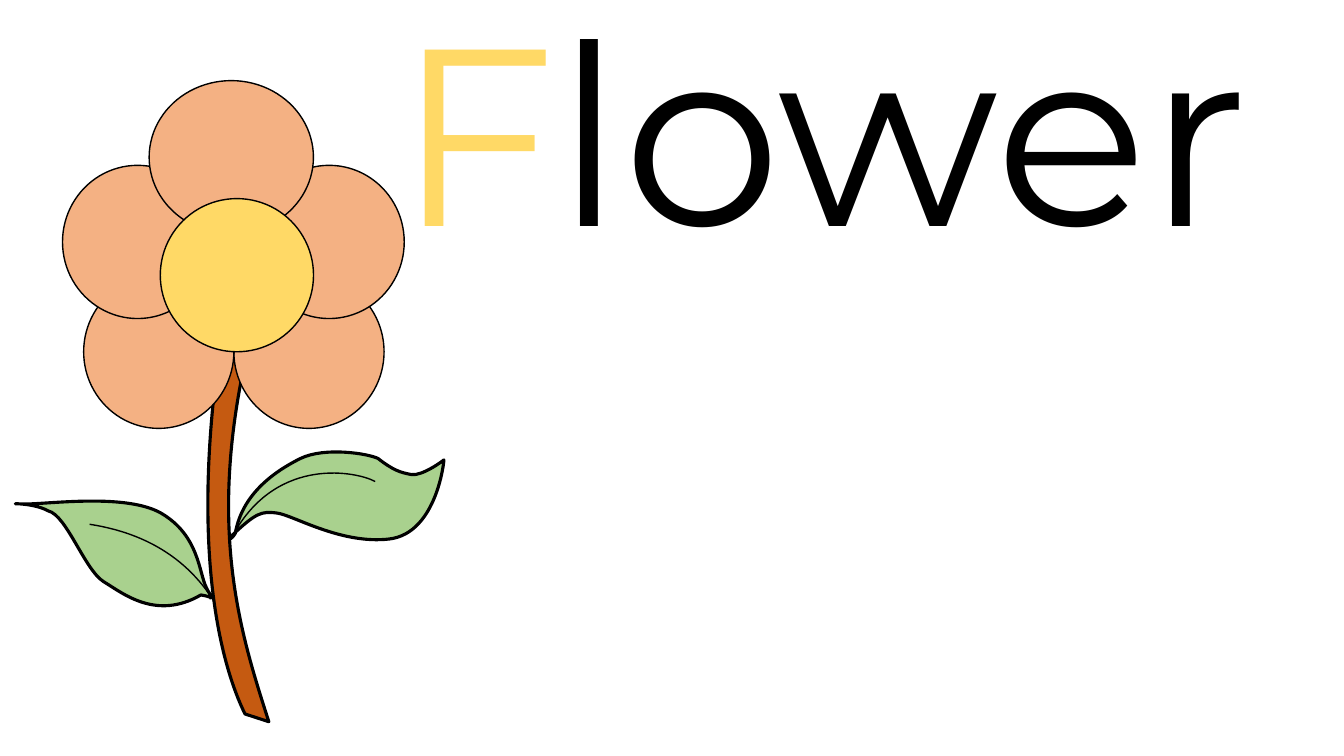
import math

import lxml.etree
import pptx
import pptx.dml.color
import pptx.enum.shapes
import pptx.enum.text
import pptx.oxml.ns
import pptx.util

Pt = pptx.util.Pt
RGBColor = pptx.dml.color.RGBColor
qn = pptx.oxml.ns.qn

BLACK = RGBColor(0x00, 0x00, 0x00)
YELLOW = RGBColor(0xFF, 0xD9, 0x66)
PEACH = RGBColor(0xF4, 0xB1, 0x83)
GREEN = RGBColor(0xA9, 0xD1, 0x8E)
BROWN = RGBColor(0xC5, 0x5A, 0x11)

THIN, THICK = 1, 2.25
PETAL_SIZE = (107.28, 109.44)
PETAL_CORNERS = [(167.04, 196.56), (59.76, 196.56), (44.64, 118.08), (181.44, 118.08)]

# Outlines: a start point, then segments of one point (line) or three (cubic curve).
LEFT_LEAF = [
    (15, 360),
    [(29, 361), (88.5, 351.5), (115, 366.5)],
    [(142.5, 382.5), (142, 409.5), (147.5, 420)],
    [(152.5, 430), (151, 422.5), (150, 425.5)],
    [(148.5, 428.5), (155.5, 427), (143.5, 425)],
    [(111.5, 443.5), (88, 424), (74, 415.5)],
    [(60.5, 407), (47.5, 368), (34.5, 365)],
    [(23, 358.5), (2, 360), (15, 360)],
]
RIGHT_LEAF = [
    (317, 328.5),
    [(317.5, 327), (312.5, 381), (278, 385)],
    [(243.5, 389), (209.5, 368), (198, 366.5)],
    [(186.5, 365), (183, 366), (164, 384)],
    [(162.5, 381.5), (162.5, 389.5), (168, 381)],
    [(173, 352), (197.5, 336), (214.5, 327.5)],
    [(232, 319), (263, 324), (270, 327.5)],
    [(281, 336), (286, 337.5), (294, 339)],
    [(301.5, 340), (316, 329.5), (317, 328.5)],
]
RIGHT_VEIN = [(168, 379.5), [(199.5, 325.5), (255.5, 337), (268, 344)]]
LEFT_VEIN = [(64, 374.5), [(89.5, 378.5), (130.5, 390), (155.5, 434)]]
STEM = [
    (160.5, 226),
    [(183, 225.5)],
    [(144.5, 368), (170.5, 448.5), (192, 515.5)],
    [(175, 510)],
    [(159, 477.5), (133, 392), (160.5, 226)],
]


def unrotate(point, box, degrees):
    """Turn a slide point back into the unrotated frame of a box."""
    left, top, width, height = box
    angle = math.radians(degrees)
    across = point[0] - left - width / 2
    down = point[1] - top - height / 2
    return (
        across * math.cos(angle) + down * math.sin(angle) + width / 2,
        down * math.cos(angle) - across * math.sin(angle) + height / 2,
    )


def add_text(paragraph, text, *, size, color, font="Montserrat"):
    run = paragraph.add_run()
    run.text = text
    run.font.name = font
    run.font.size = Pt(size)
    run.font.color.rgb = color


class FlowerSlide:
    def __init__(self, slide):
        self.slide = slide
        self.drawing = None

    def start_drawing(self):
        self.drawing = self.slide.shapes.add_group_shape().shapes

    def style(self, shape, fill, line_width):
        shape.shadow.inherit = False
        if fill is None:
            shape.fill.background()
        else:
            shape.fill.solid()
            shape.fill.fore_color.rgb = fill
        shape.line.color.rgb = BLACK
        shape.line.width = Pt(line_width)

    def title(self, left, top, width, height, parts, size):
        box = self.slide.shapes.add_textbox(Pt(left), Pt(top), Pt(width), Pt(height))
        frame = box.text_frame
        frame.word_wrap = True
        frame.auto_size = pptx.enum.text.MSO_AUTO_SIZE.SHAPE_TO_FIT_TEXT
        for text, color in parts:
            add_text(frame.paragraphs[0], text, size=size, color=color)

    def ellipse(self, left, top, width, height, fill):
        shape = self.drawing.add_shape(
            pptx.enum.shapes.MSO_SHAPE.OVAL, Pt(left), Pt(top), Pt(width), Pt(height)
        )
        self.style(shape, fill, THIN)

    def outline(self, segments, box, rotation=0, fill=None, line_width=THIN):
        """Draw lines and curves in a rotated box, closed when there is a fill."""
        left, top, width, height = box
        builder = self.drawing.build_freeform(Pt(left), Pt(top))
        builder.add_line_segments([(Pt(left + width), Pt(top + height))], close=False)
        shape = builder.convert_to_shape()
        shape.rotation = rotation

        geometry = next(shape.element.iter(qn("a:path")))
        for child in list(geometry):
            geometry.remove(child)
        start, *rest = segments
        commands = [("a:moveTo", [start])]
        for points in rest:
            commands.append(("a:lnTo" if len(points) == 1 else "a:cubicBezTo", points))
        if fill is not None:
            commands.append(("a:close", []))
        for tag, points in commands:
            command = lxml.etree.SubElement(geometry, qn(tag))
            for point in points:
                x, y = unrotate(point, box, rotation)
                lxml.etree.SubElement(command, qn("a:pt"), x=str(Pt(x)), y=str(Pt(y)))
        self.style(shape, fill, line_width)


def main():
    presentation = pptx.Presentation()
    presentation.slide_width = Pt(960)
    presentation.slide_height = Pt(540)
    slide = presentation.slides.add_slide(presentation.slide_layouts[6])

    flower = FlowerSlide(slide)
    flower.title(276, -21.5, 705.5, 225.5, [("F", YELLOW), ("lower", BLACK)], size=180)

    flower.start_drawing()
    flower.outline(LEFT_LEAF, (10, 353.5, 152.5, 63.5), 35.3, GREEN, THICK)
    flower.outline(RIGHT_LEAF, (160, 319.5, 163.5, 79), 157.3, GREEN, THICK)
    flower.outline(RIGHT_VEIN, (168, 337.5, 100, 42))
    flower.outline(LEFT_VEIN, (57.5, 387.5, 106, 31.5), 48.8)
    flower.outline(STEM, (148.5, 225.5, 43.5, 290), 0, BROWN, THICK)
    for left, top in PETAL_CORNERS:
        flower.ellipse(left, top, *PETAL_SIZE, PEACH)
    flower.ellipse(106.56, 57.6, 117.36, 109.44, PEACH)
    flower.ellipse(114.48, 141.84, 109.44, 109.44, YELLOW)

    presentation.save("out.pptx")


if __name__ == "__main__":
    main()
